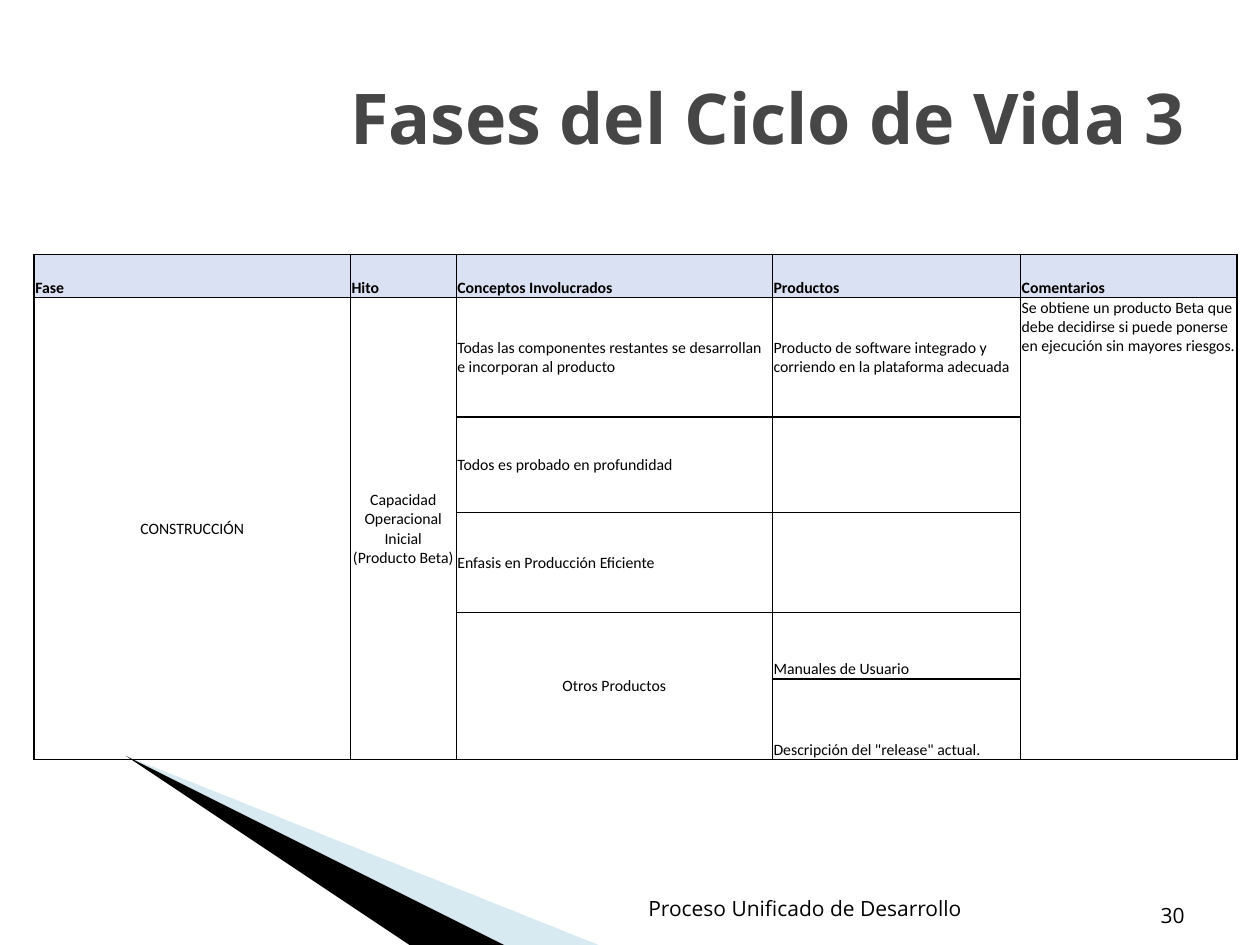
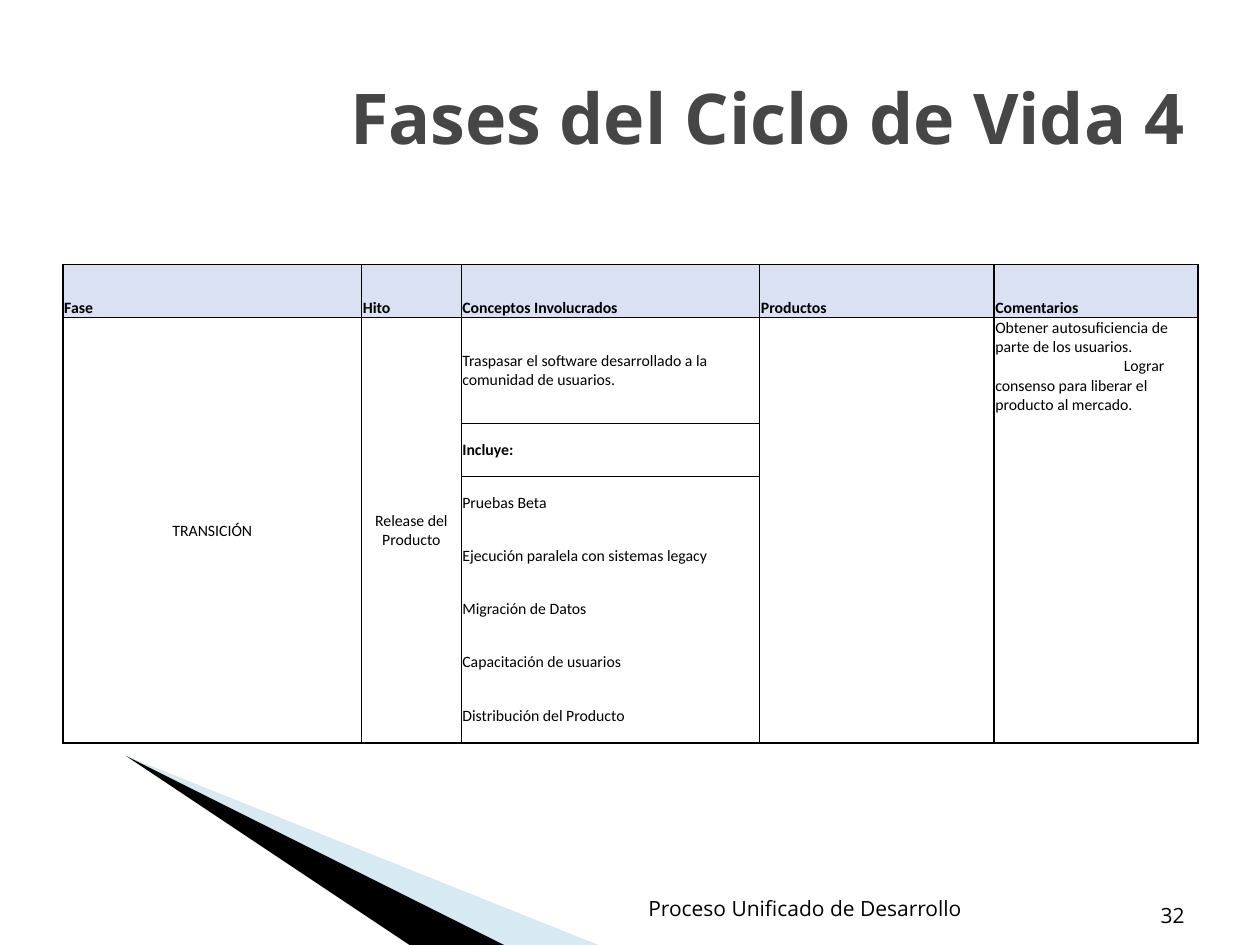
from dataclasses import dataclass

from lxml import etree
from pptx import Presentation
from pptx.dml.color import RGBColor
from pptx.enum.text import MSO_ANCHOR, PP_ALIGN
from pptx.oxml.ns import qn
from pptx.util import Inches, Pt

LEFT, CENTER, RIGHT = PP_ALIGN.LEFT, PP_ALIGN.CENTER, PP_ALIGN.RIGHT
TOP, MIDDLE, BOTTOM = MSO_ANCHOR.TOP, MSO_ANCHOR.MIDDLE, MSO_ANCHOR.BOTTOM

COLORS = {"title": "464646", "text": "000000", "header": "D9E1F2",
          "band": "9FCBDC", "wedge": "000000", "border": "000000"}
TITLE_FONT, TABLE_FONT = "Open Sans", "Calibri"
INNER_LINE, OUTER_LINE = 0.75, 1

TITLE_BOX = (0.5, 0.3, 9, 1.25)
NUMBER_BOX = (8.39, 6.98, 1.11, 0.43)
FOOTER_BOX = (4.79, 7.01, 3.2, 0.4)
FOOTER = "Proceso Unificado de Desarrollo"
HEADINGS = ["Fase", "Hito", "Conceptos Involucrados", "Productos", "Comentarios"]


@dataclass
class Entry:
    """A table cell, its row span and the sides that carry a border."""
    row: int
    column: int
    text: str = ""
    span: int = 1
    align: int = LEFT
    anchor: int = MIDDLE
    bold: bool = False
    sides: str = "LRTB"
    indent: float = 0  # first-line indent of the paragraphs after the first


def rgb(name):
    return RGBColor.from_string(COLORS[name])


def add_run(para, text, font, size, color, bold=False):
    span = para.add_run()
    span.text = text
    span.font.name = font
    span.font.size = Pt(size)
    span.font.bold = bold
    span.font.color.rgb = rgb(color)


def add_label(page, box, text, size, align, anchor, color="text", bold=False):
    label = page.shapes.add_textbox(*map(Inches, box))
    frame = label.text_frame
    frame.word_wrap = True
    frame.vertical_anchor = anchor
    para = frame.paragraphs[0]
    para.alignment = align
    add_run(para, text, TITLE_FONT, size, color, bold)


def add_wedge(page, points, color, opacity=100):
    builder = page.shapes.build_freeform(*points[0], scale=Inches(1))
    builder.add_line_segments(points[1:], close=True)
    wedge = builder.convert_to_shape()
    wedge.shadow.inherit = False
    wedge.line.fill.background()
    wedge.fill.solid()
    wedge.fill.fore_color.rgb = rgb(color)
    if opacity < 100:
        tint = wedge.fill._xPr.find(".//" + qn("a:srgbClr"))
        etree.SubElement(tint, qn("a:alpha"), val=str(opacity * 1000))


def add_frame(page, title, number):
    # Corner decoration
    add_wedge(page, [(0.55, 6.5), (5.9, 7.5), (4.54, 7.5)], "band", 40)
    add_wedge(page, [(0.53, 6.49), (4.53, 7.5), (3.67, 7.5)], "wedge")
    # Title, page number and footer
    add_label(page, TITLE_BOX, title, 40, RIGHT, MIDDLE, "title", True)
    add_label(page, NUMBER_BOX, str(number), 12, RIGHT, BOTTOM)
    add_label(page, FOOTER_BOX, FOOTER, 12, CENTER, MIDDLE)


def set_borders(cell, widths):
    """Draw each side with its width in points; None leaves it empty."""
    properties = cell._tc.get_or_add_tcPr()
    for position, side in enumerate("LRTB"):
        line = etree.Element(qn("a:ln" + side))
        properties.insert(position, line)
        width = widths[side]
        if width is None:
            line.set("w", "0")
            etree.SubElement(line, qn("a:noFill"))
            continue
        line.set("w", str(Pt(width)))
        fill = etree.SubElement(line, qn("a:solidFill"))
        etree.SubElement(fill, qn("a:srgbClr"), val=COLORS["border"])


def write_cell(cell, entry):
    cell.margin_left = cell.margin_right = cell.margin_top = Inches(0.01)
    cell.margin_bottom = 0
    cell.vertical_anchor = entry.anchor
    frame = cell.text_frame
    for index, text in enumerate(entry.text.split("\n")):
        para = frame.add_paragraph() if index else frame.paragraphs[0]
        para.alignment = entry.align
        if index and entry.indent:
            para._p.get_or_add_pPr().set("indent", str(Inches(entry.indent)))
        if text:
            add_run(para, text, TABLE_FONT, 9, "text", entry.bold)
        else:
            para.font.size = Pt(9)


def add_phase_table(page, corner, columns, rows, entries):
    box = (*corner, sum(columns), sum(rows))
    table = page.shapes.add_table(len(rows), len(columns), *map(Inches, box)).table
    table.first_row = table.horz_banding = False
    for column, width in zip(table.columns, columns):
        column.width = Inches(width)
    for row, height in zip(table.rows, rows):
        row.height = Inches(height)

    headings = [Entry(0, column, text, anchor=BOTTOM, bold=True)
                for column, text in enumerate(HEADINGS)]
    for entry in headings + entries:
        last = entry.row + entry.span - 1
        origin = table.cell(entry.row, entry.column)
        if entry.span > 1:
            origin.merge(table.cell(last, entry.column))
        write_cell(origin, entry)
        for row in range(entry.row, last + 1):
            cell = table.cell(row, entry.column)
            if entry.row == 0:
                cell.fill.solid()
                cell.fill.fore_color.rgb = rgb("header")
            else:
                cell.fill.background()
            outer = {"L": entry.column == 0, "T": row == 0,
                     "R": entry.column == len(columns) - 1,
                     "B": last == len(rows) - 1}
            inside = {"T": row > entry.row, "B": entry.row < row < last}
            set_borders(cell, {
                side: None if inside.get(side) or side not in entry.sides
                else OUTER_LINE if outer[side] else INNER_LINE
                for side in "LRTB"})


def build_construction(page):
    add_frame(page, "Fases del Ciclo de Vida 3", 30)
    add_phase_table(
        page, (0.27, 2.02), [2.51, 0.84, 2.51, 1.97, 1.72],
        [0.34, 0.95, 0.76, 0.79, 0.53, 0.64], [
            Entry(1, 0, "CONSTRUCCIÓN", 5, CENTER),
            Entry(1, 1, "Capacidad Operacional Inicial (Producto Beta)", 5, CENTER),
            Entry(1, 2, "Todas las componentes restantes se desarrollan "
                        "e incorporan al producto"),
            Entry(2, 2, "Todos es probado en profundidad"),
            Entry(3, 2, "Enfasis en Producción Eficiente"),
            Entry(4, 2, "Otros Productos", 2, CENTER),
            Entry(1, 3, "Producto de software integrado y corriendo "
                        "en la plataforma adecuada"),
            Entry(2, 3),
            Entry(3, 3),
            Entry(4, 3, "Manuales de Usuario", anchor=BOTTOM),
            Entry(5, 3, 'Descripción del "release" actual.', anchor=BOTTOM),
            Entry(1, 4, "Se obtiene un producto Beta que debe decidirse si puede "
                        "ponerse en ejecución sin mayores riesgos.", 5, anchor=TOP),
        ])


def build_transition(page):
    add_frame(page, "Fases del Ciclo de Vida 4", 32)
    activities = ["Pruebas Beta", "Ejecución paralela con sistemas legacy",
                  "Migración de Datos", "Capacitación de usuarios",
                  "Distribución del Producto"]
    # The activities share one open box: only its outline is drawn
    activity_sides = ["LRT", "LR", "LR", "LR", "LRB"]
    add_phase_table(
        page, (0.5, 2.1), [2.37, 0.79, 2.37, 1.86, 1.62],
        [0.42, 0.84] + [0.42] * 5 + [0.44], [
            Entry(1, 0, "TRANSICIÓN", 7, CENTER),
            Entry(1, 1, "Release del Producto", 7, CENTER),
            Entry(1, 2, "Traspasar el software desarrollado a la "
                        "comunidad de usuarios."),
            Entry(2, 2, "Incluye:", bold=True),
            *[Entry(row, 2, text, sides=sides) for row, (text, sides)
              in enumerate(zip(activities, activity_sides), start=3)],
            Entry(1, 3, span=7),
            Entry(1, 4, "Obtener autosuficiencia de parte de los usuarios.\n"
                        "Lograr consenso para liberar el producto al mercado.",
                  7, anchor=TOP, indent=1.02),
        ])


def main():
    deck = Presentation()
    deck.slide_width, deck.slide_height = Inches(10), Inches(7.5)
    blank = deck.slide_layouts[6]
    for build in (build_construction, build_transition):
        build(deck.slides.add_slide(blank))
    deck.save("out.pptx")


if __name__ == "__main__":
    main()
